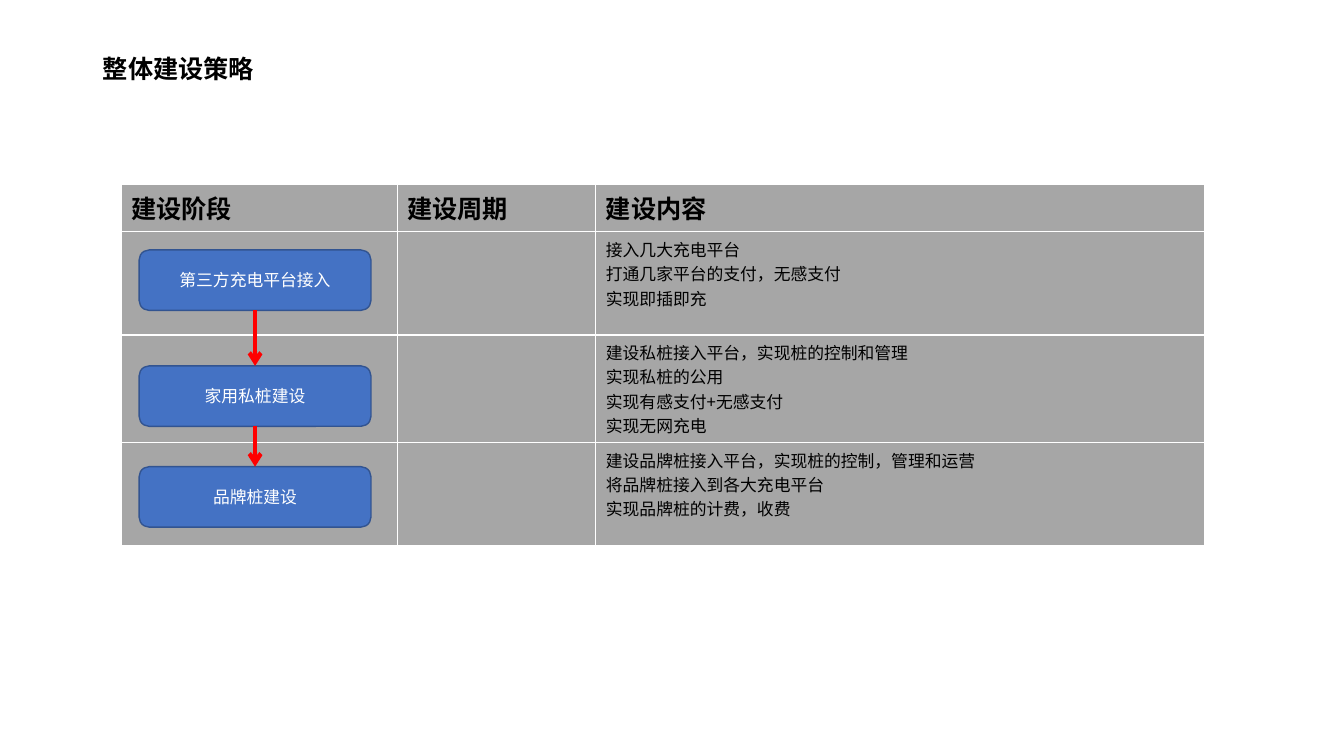
from lxml import etree
from pptx import Presentation
from pptx import util as u
from pptx.dml.color import RGBColor
from pptx.enum import shapes, text
from pptx.oxml.ns import qn

FONT = "Noto Sans CJK SC"
COLORS = {"ink": "000000", "cell": "A6A6A6", "stage": "4472C4",
          "outline": "325491", "on_stage": "FFFFFF", "arrow": "FF0000"}
HEADERS = ["建设阶段", "建设周期", "建设内容"]
# stage name, offset of its box from the table top, contents
STAGES = [
    ("第三方充电平台接入", 0.65,
     ["接入几大充电平台", "打通几家平台的支付，无感支付", "实现即插即充"]),
    ("家用私桩建设", 1.8,
     ["建设私桩接入平台，实现桩的控制和管理", "实现私桩的公用",
      "实现有感支付+无感支付", "实现无网充电"]),
    ("品牌桩建设", 2.8,
     ["建设品牌桩接入平台，实现桩的控制，管理和运营",
      "将品牌桩接入到各大充电平台", "实现品牌桩的计费，收费"]),
]


def color(name):
    return RGBColor.from_string(COLORS[name])


def write(tf, lines, size, ink="ink", bold=False, align=text.PP_ALIGN.LEFT):
    """Fill a text frame, one paragraph a line, in Latin and East Asian font."""
    tf.text = "\n".join(lines)
    for p in tf.paragraphs:
        p.alignment = align
        p.font.size = u.Pt(size)
        p.font.bold = bold
        p.font.color.rgb = color(ink)
        p.font.name = FONT
        props = p._p.pPr.find(qn("a:defRPr"))
        etree.SubElement(props, qn("a:ea"), typeface=FONT)


def add_title(slide, left, top, width, height):
    title = slide.shapes.title
    title.left, title.top = u.Inches(left), u.Inches(top)
    title.width, title.height = u.Inches(width), u.Inches(height)
    tf = title.text_frame
    tf.vertical_anchor = text.MSO_ANCHOR.MIDDLE
    write(tf, ["整体建设策略"], 18, bold=True)
    tf.paragraphs[0].line_spacing = 0.9


def add_plan_table(slide, left, top, width, height):
    header_height, period_x, content_x = 0.47, 2.74, 4.71
    table = slide.shapes.add_table(
        len(STAGES) + 1, len(HEADERS), u.Inches(left), u.Inches(top),
        u.Inches(width), u.Inches(height)).table
    table.horz_banding = False
    widths = [period_x, content_x - period_x, width - content_x]
    for column, column_width in zip(table.columns, widths):
        column.width = u.Inches(column_width)
    for i, row in enumerate(table.rows):
        row.height = u.Inches((height - header_height) / len(STAGES)
                              if i else header_height)
    for cell in table.iter_cells():
        cell.fill.solid()
        cell.fill.fore_color.rgb = color("cell")
    for i, header in enumerate(HEADERS):
        write(table.cell(0, i).text_frame, [header], 18, bold=True)
    for i, (_, _, contents) in enumerate(STAGES, 1):
        write(table.cell(i, 2).text_frame, contents, 12)


def add_stage(slide, name, left, top, width, height):
    sp = slide.shapes.add_shape(
        shapes.MSO_SHAPE.ROUNDED_RECTANGLE, u.Inches(left), u.Inches(top),
        u.Inches(width), u.Inches(height))
    sp.shadow.inherit = False
    sp.fill.solid()
    sp.fill.fore_color.rgb = color("stage")
    sp.line.color.rgb = color("outline")
    sp.line.width = u.Pt(1)
    sp.text_frame.vertical_anchor = text.MSO_ANCHOR.MIDDLE
    write(sp.text_frame, [name], 12, "on_stage", align=text.PP_ALIGN.CENTER)
    return sp


def add_arrow(slide, upper, lower):
    """Link the bottom of one stage to the top of the next."""
    line = slide.shapes.add_connector(shapes.MSO_CONNECTOR.STRAIGHT, 0, 0, 0, 0)
    line.begin_connect(upper, 2)
    line.end_connect(lower, 0)
    line.line.color.rgb = color("arrow")
    line.line.width = u.Pt(3)
    etree.SubElement(line.line._get_or_add_ln(), qn("a:tailEnd"), type="arrow")
    etree.SubElement(line._element.spPr, qn("a:effectLst"))


def add_stage_flow(slide, left, top, width, box_height):
    boxes = [add_stage(slide, name, left, top + offset, width, box_height)
             for name, offset, _ in STAGES]
    for upper, lower in zip(boxes, boxes[1:]):
        add_arrow(slide, upper, lower)


def main():
    prs = Presentation()
    prs.slide_width, prs.slide_height = u.Inches(13.33), u.Inches(7.5)
    slide = prs.slides.add_slide(prs.slide_layouts.get_by_name("Title Only"))
    table_left, table_top = 1.2, 1.83
    add_title(slide, 0.92, 0.4, 11.61, 0.59)
    add_plan_table(slide, table_left, table_top, 10.75, 3.54)
    add_stage_flow(slide, table_left + 0.18, table_top, 2.3, 0.6)
    prs.save("out.pptx")


if __name__ == "__main__":
    main()
